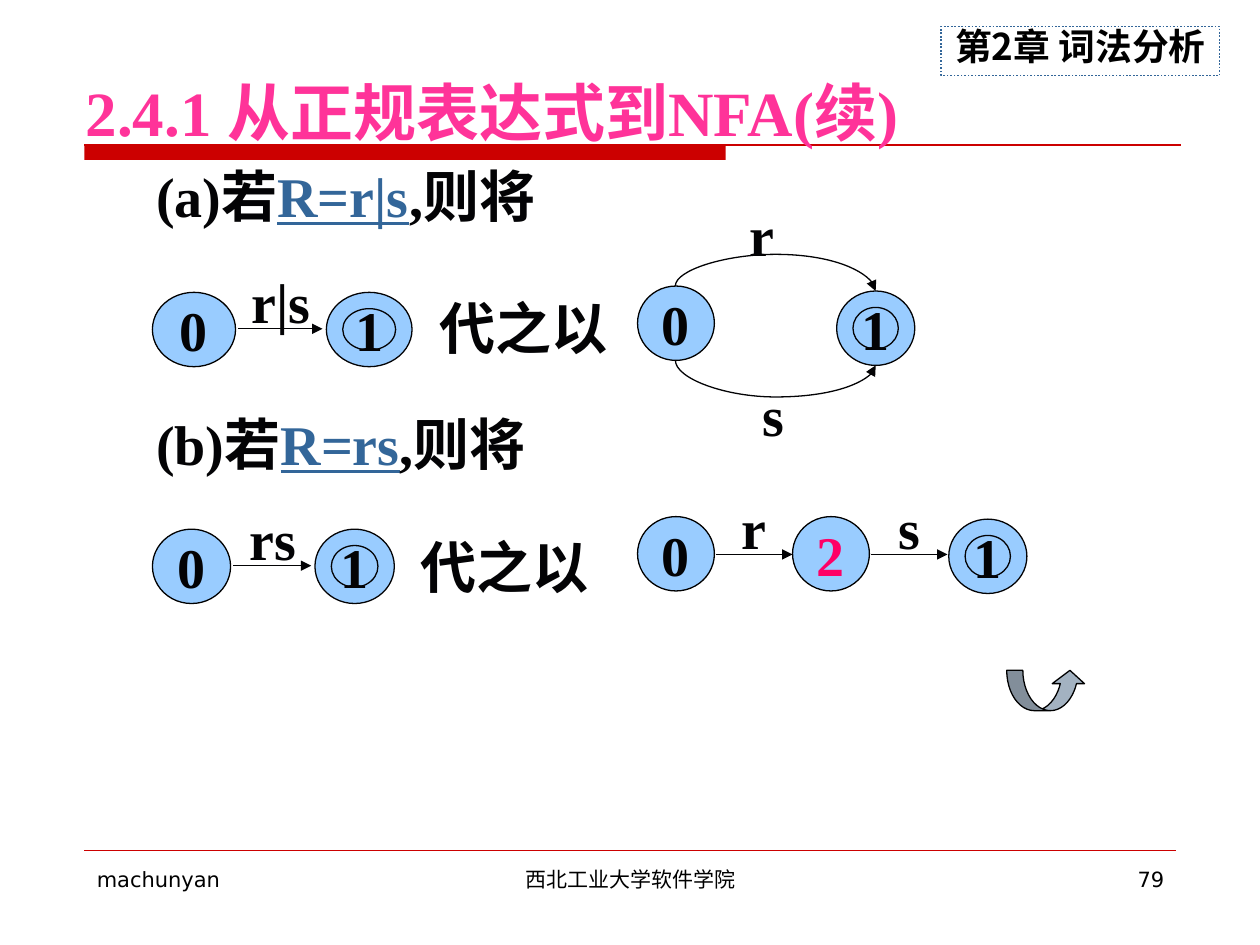
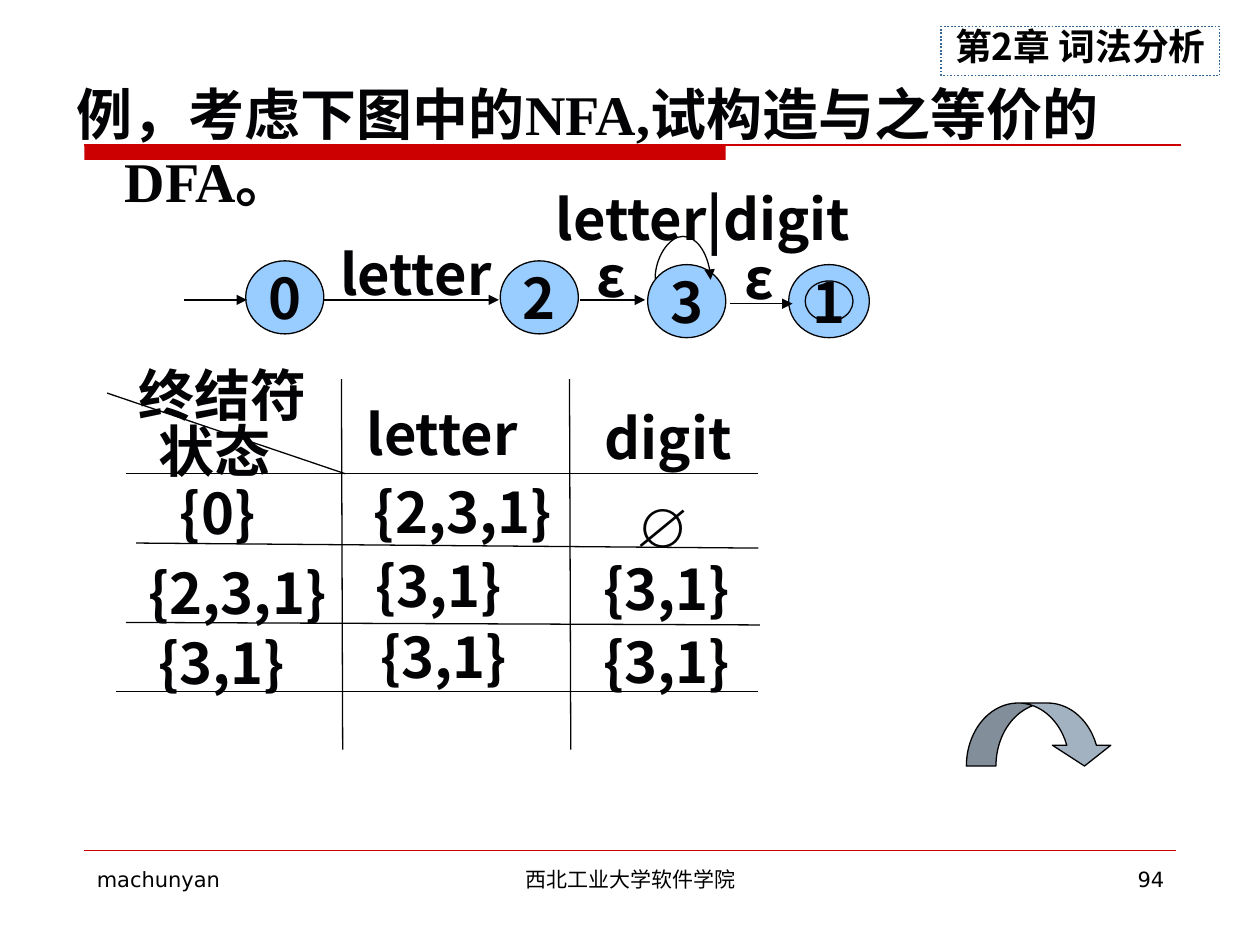
from dataclasses import dataclass
from typing import Any

from lxml.etree import SubElement
from pptx import Presentation
from pptx.dml.color import RGBColor
from pptx.enum.dml import MSO_LINE
from pptx.enum.shapes import MSO_CONNECTOR as LINK, MSO_SHAPE as SHAPE
from pptx.enum.text import MSO_ANCHOR as ANCHOR, MSO_AUTO_SIZE as AUTO_SIZE, PP_ALIGN as ALIGN
from pptx.oxml.ns import qn
from pptx.util import Pt

PX = 9144  # 100 px to the inch
INK = RGBColor(0x03, 0x03, 0x05)
BLACK = RGBColor(0, 0, 0)
RED = RGBColor(0xCC, 0x00, 0x00)
BLUE = RGBColor(0x33, 0x66, 0x99)
PINK = RGBColor(0xFF, 0x33, 0x99)
ROSE = RGBColor(0xFF, 0x00, 0x66)
STATE_FILL = RGBColor(0x99, 0xCC, 0xFF)
ARROW_FILL = RGBColor(0xA3, 0xB2, 0xC1)
SERIF, SANS, CJK, FOOTER_FONT = "Times New Roman", "Noto Sans CJK SC", "Noto Sans CJK JP", "DejaVu Sans"


def px(*lengths):
    return [round(length * PX) for length in lengths]


def format_run(run, font_name, size, color, bold=True):
    font = run.font
    font.size, font.bold, font.name = Pt(size), bold, font_name
    font.color.rgb = color
    east_asian = CJK if font_name == CJK else SANS
    SubElement(run.font._element, qn("a:ea")).set("typeface", east_asian)


def write(shape, text, font_name=SERIF, size=32, color=INK, bold=True,
          align=ALIGN.LEFT, anchor=ANCHOR.TOP, wrap=True):
    """Fill a shape with one paragraph; text may be a list of strings."""
    frame = shape.text_frame
    frame.auto_size = AUTO_SIZE.NONE
    frame.word_wrap, frame.vertical_anchor = wrap, anchor
    paragraph = frame.paragraphs[0]
    paragraph.alignment = align
    for part in [text] if isinstance(text, str) else text:
        run = paragraph.add_run()
        run.text = part
        format_run(run, font_name, size, color, bold)
    return paragraph


@dataclass
class Region:
    """Part of a slide; everything is placed from its top left corner."""
    slide: Any
    left: int = 0
    top: int = 0
    font_name: str = SERIF

    def box(self, left, top, width, height):
        return px(self.left + left, self.top + top, width, height)

    def shape(self, kind, box, fill=None, line=BLACK, weight=0.75):
        shape = self.slide.shapes.add_shape(kind, *self.box(*box))
        shape.shadow.inherit = False
        if fill is None:
            shape.fill.background()
        else:
            shape.fill.solid()
            shape.fill.fore_color.rgb = fill
        if line is None:
            shape.line.fill.background()
        else:
            shape.line.color.rgb = line
            shape.line.width = Pt(weight)
        return shape

    def text(self, box, text, **style):
        text_box = self.slide.shapes.add_textbox(*self.box(*box))
        return write(text_box, text, **{"font_name": self.font_name, **style})

    def label(self, box, text):
        self.text(box, text, align=ALIGN.CENTER, anchor=ANCHOR.MIDDLE, wrap=False)

    def line(self, start, end, color=INK, weight=0.75, arrow=False, kind=LINK.STRAIGHT):
        connector = self.slide.shapes.add_connector(
            kind, *self.box(*start, 0, 0)[:2], *self.box(*end, 0, 0)[:2])
        connector.line.color.rgb = color
        connector.line.width = Pt(weight)
        if arrow:
            SubElement(connector.line._get_or_add_ln(), qn("a:tailEnd")).set("type", "triangle")
        SubElement(connector.element.spPr, qn("a:effectLst"))
        return connector

    def arrow(self, left, right, y):
        self.line((left, y), (right, y), arrow=True)

    def arc(self, start, end, bend):
        """Curved arrow from start to end that swings out to height bend."""
        connector = self.line(start, end, arrow=True, kind=LINK.CURVE)
        (x1, y1), (x2, y2) = start, end
        rise, run = y2 - y1, x2 - x1
        connector.left, connector.top, connector.width, connector.height = self.box(
            (x1 + x2 - rise) / 2, (y1 + y2 - run) / 2, rise, run)
        turn, flip = (90, "flipV") if bend < y1 else (270, "flipH")
        properties = connector.element.spPr
        transform = properties.find(qn("a:xfrm"))
        transform.set("rot", str(turn * 60000))
        transform.set(flip, "1")
        geometry = properties.find(qn("a:prstGeom"))
        values = geometry.find(qn("a:avLst"))
        if values is None:
            values = SubElement(geometry, qn("a:avLst"))
        guide = SubElement(values, qn("a:gd"))
        guide.set("name", "adj1")
        guide.set("fmla", f"val {round((bend - y1) / rise * 100000)}")

    def state(self, box, name, color=INK, line=BLACK):
        oval = self.shape(SHAPE.OVAL, box, STATE_FILL, line)
        write(oval, name, self.font_name, color=color, align=ALIGN.CENTER,
              anchor=ANCHOR.MIDDLE, wrap=False)

    def final_state(self, box, name):
        left, top, width, height = box
        self.shape(SHAPE.OVAL, box, STATE_FILL, INK)
        self.state((left + 13, top + 13, width - 26, height - 26), name, line=INK)

    def block_arrow(self, kind, box, adjustments):
        shape = self.shape(kind, box, ARROW_FILL)
        for index, value in enumerate(adjustments):
            shape.adjustments[index] = value


# Parts shared by both slides
def add_frame(presentation, number):
    slide = presentation.slides.add_slide(presentation.slide_layouts[5])
    page = Region(slide)
    page.shape(SHAPE.RECTANGLE, (67, 115, 509, 12), RED, None)
    page.line((67, 115), (937, 115), RED)
    page.line((67, 675), (933, 675), RED, 0.25)
    chapter = page.shape(SHAPE.RECTANGLE, (747, 21, 221, 39), line=BLUE, weight=1)
    chapter.line.dash_style = MSO_LINE.ROUND_DOT
    write(chapter, "第2章 词法分析", CJK, 21, BLACK, align=ALIGN.CENTER,
          anchor=ANCHOR.MIDDLE, wrap=False).line_spacing = 0.75
    for left, width, text, align in ((67, 217, "machunyan", ALIGN.LEFT),
                                     (342, 317, "西北工业大学软件学院", ALIGN.CENTER),
                                     (717, 217, str(number), ALIGN.RIGHT)):
        page.text((left, 683, width, 52), text, font_name=FOOTER_FONT, size=12,
                  color=BLACK, bold=False, align=align)
    return page


def add_title(page, box, text, **style):
    title = page.slide.shapes.title
    title.element.getparent().append(title.element)  # in front of the red band
    title.left, title.top, title.width, title.height = page.box(*box)
    return write(title, text, **style)


# Slide 79: replacement rules
def rule_heading(region, width, item, expression):
    paragraph = region.text((0, 0, width, 63), [item, expression, ",则将"])
    run = paragraph.runs[1]
    run.font.color.rgb = BLUE
    run.font.underline = True


def single_edge(region, state_width, gap, final_width, label):
    final_left = state_width + gap
    region.state((0, 8, state_width, 59), "0")
    region.final_state((final_left, 8, final_width, 59), "1")
    region.label((state_width + gap / 2 - 24, 0, 48, 30), label)
    region.arrow(state_width + 2, final_left - 3, 37)


def parallel_edges(region):
    region.state((0, 57, 61, 59), "0")
    region.final_state((158, 61, 62, 59), "1")
    region.label((83, 0, 31, 31), "r")
    region.label((92, 143, 31, 31), "s")
    region.arc((30, 116), (189, 120), 145)
    region.arc((30, 57), (189, 61), 32)


def edges_in_series(region):
    step = 123
    region.state((0, 7, 61, 59), "0")
    region.state((step, 7, 61, 59), "2", ROSE)
    region.final_state((2 * step + 1, 9, 62, 59), "1")
    for index, label in enumerate("rs"):
        region.label((index * step + 77, 0, 31, 31), label)
        region.arrow(index * step + 62, (index + 1) * step, 37)


def build_rules_slide(presentation):
    page = add_frame(presentation, 79)
    slide = page.slide
    add_title(page, (58, 33, 875, 90), "2.4.1 从正规表达式到NFA(续)",
              size=36, color=PINK, anchor=ANCHOR.BOTTOM)
    rule_heading(Region(slide, 114, 123), 592, "(a)若", "R=r|s")
    single_edge(Region(slide, 121, 224), 66, 72, 68, "r|s")
    page.text((339, 228, 208, 63), "代之以")
    parallel_edges(Region(slide, 506, 170))
    rule_heading(Region(slide, 114, 320), 567, "(b)若", "R=rs")
    single_edge(Region(slide, 121, 412), 62, 67, 63, "rs")
    page.text((324, 418, 200, 63), "代之以")
    edges_in_series(Region(slide, 506, 403))
    page.block_arrow(SHAPE.CURVED_UP_ARROW, (799, 532, 63, 32), (0.4, 0.8, 0.33))


# Slide 94: NFA and its state table
def identifier_automaton(region):
    for left, top, name in ((49, 52, "0"), (251, 52, "2"), (368, 55, "3")):
        region.state((left, top, 62, 58), name)
    region.final_state((480, 55, 64, 58), "1")
    for left, right, y in ((0, 50, 83), (111, 250, 83), (314, 366, 83), (433, 483, 86)):
        region.arrow(left, right, y)
    for box, label in (((308, 0, 208, 36), "letter|digit"), ((130, 44, 108, 36), "letter"),
                       ((333, 50, 13, 26), "ε"), ((450, 52, 13, 26), "ε")):
        region.label(box, label)
    region.arc((374, 66), (418, 67), 32)


def state_table(region):
    rules = (((15, 95), (517, 95)), ((23, 150), (517, 154)), ((15, 213), (518, 215)),
             ((7, 268), (517, 268)), ((186, 20), (187, 314)), ((367, 20), (368, 314)),
             ((0, 31), (189, 95)))
    for start, end in rules:
        region.line(start, end)
    cells = ((31, 45, 144, "状态"), (15, 0, 210, "终结符"),
             (196, 31, 254, "letter"), (385, 34, 149, "digit"),
             (48, 94, 137, "{0}"), (202, 93, 176, "{2,3,1}"),
             (23, 157, 185, "{2,3,1}"), (203, 152, 176, "{3,1}"), (384, 154, 167, "{3,1}"),
             (31, 213, 162, "{3,1}"), (207, 208, 160, "{3,1}"), (384, 212, 222, "{3,1}"))
    for left, top, width, text in cells:
        region.text((left, top, width, 63), text)
    region.text((409, 104, 50, 47), "∅", font_name=SERIF)


def build_example_slide(presentation):
    page = add_frame(presentation, 94)
    paragraph = add_title(page, (51, 58, 835, 118),
                          "例，考虑下图中的NFA,试构造与之等价的DFA。")
    hanging = 38 * PX
    properties = paragraph._p.get_or_add_pPr()
    properties.set("marL", str(hanging))
    properties.set("indent", str(-hanging))
    identifier_automaton(Region(page.slide, 146, 155, SANS))
    state_table(Region(page.slide, 85, 281, SANS))
    page.block_arrow(SHAPE.CURVED_DOWN_ARROW, (767, 558, 117, 50), (0.47, 0.93, 0.33))


def main():
    presentation = Presentation()
    presentation.slide_width, presentation.slide_height = px(1000, 750)
    build_rules_slide(presentation)
    build_example_slide(presentation)
    presentation.save("out.pptx")


if __name__ == "__main__":
    main()
